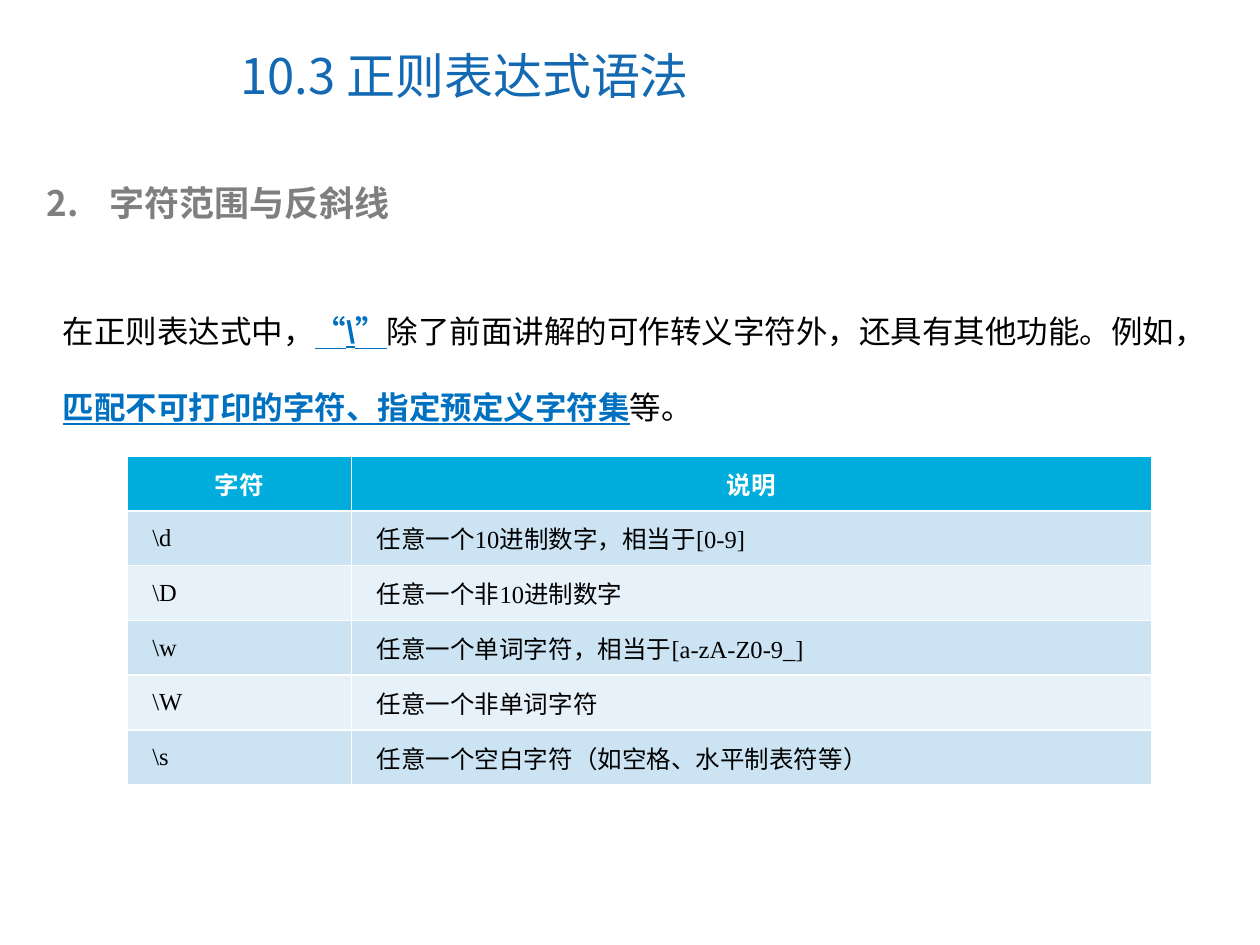
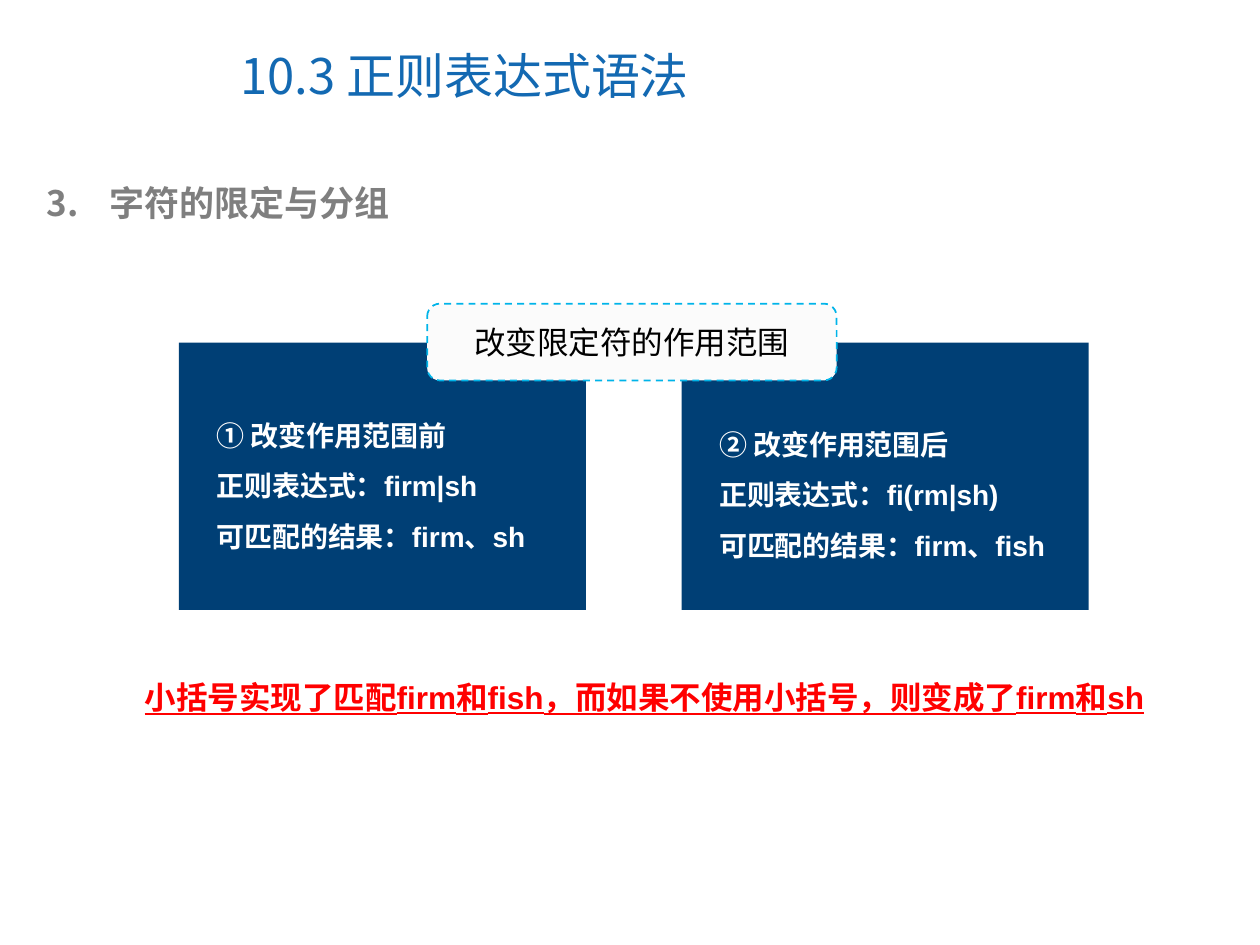
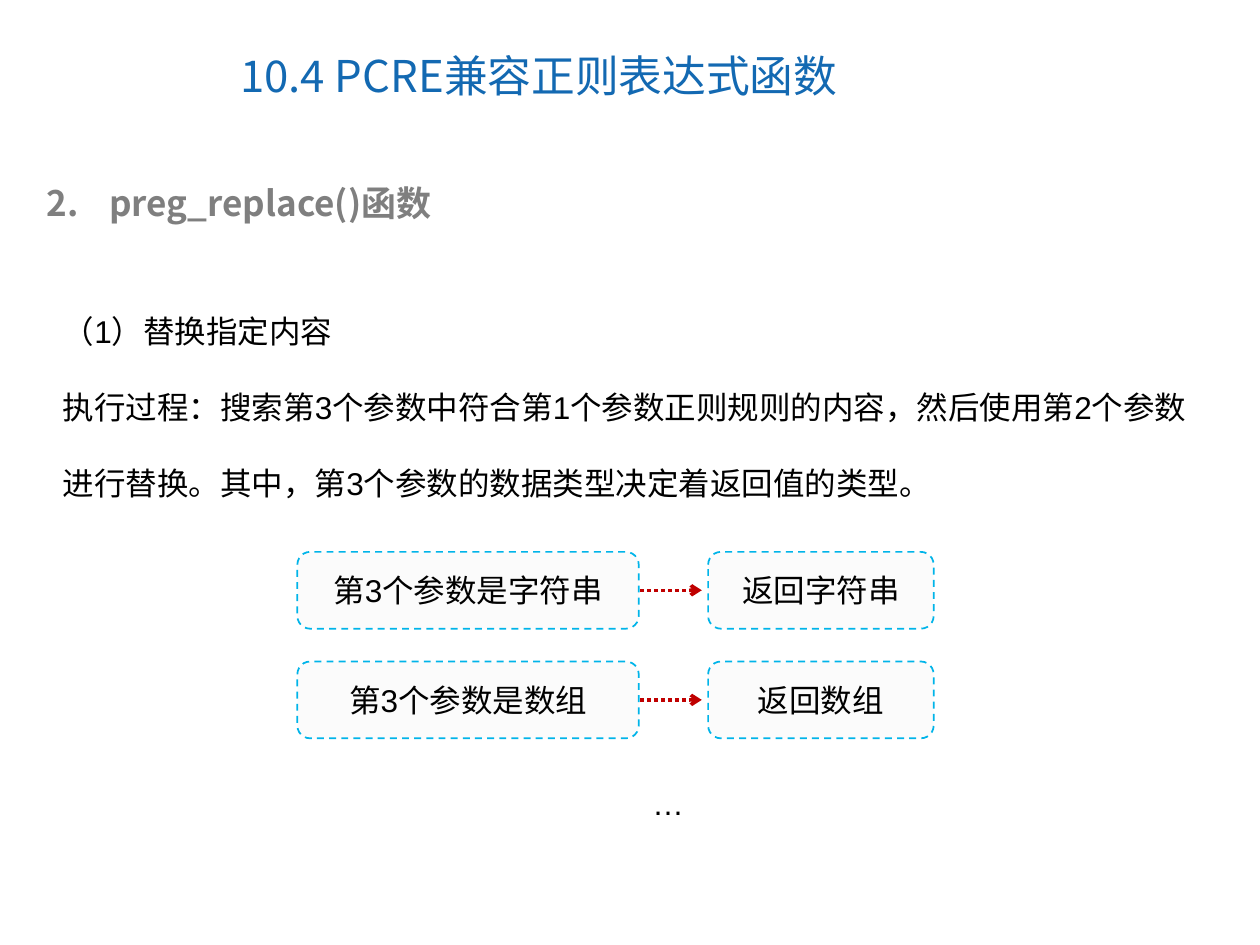
"""Builds three lesson slides on regular expressions."""
from lxml.etree import SubElement
from pptx import Presentation
from pptx.dml.color import RGBColor
from pptx.enum.dml import MSO_LINE
from pptx.enum.lang import MSO_LANGUAGE_ID as Lang
from pptx.enum.shapes import MSO_CONNECTOR, MSO_SHAPE
from pptx.enum.text import MSO_ANCHOR as Anchor, PP_ALIGN as Align
from pptx.oxml.ns import qn
from pptx.util import Inches, Pt

COLORS = {
    "title": "1369B2", "heading": "7F7F7F", "text": "000000", "white": "FFFFFF",
    "key": "0070C0", "warning": "FF0000", "header": "00ADDC", "odd_row": "CBE3F2",
    "even_row": "E7F1F9", "panel": "003F75", "tag": "FBFBFB", "tag_line": "00B4E9",
    "arrow": "C00000",
}
SANS, SERIF, CHINESE = "Arial", "Times New Roman", "Noto Sans CJK SC"
TAG_HEIGHT = 0.61

SYNTAX_TITLE = "10.3 正则表达式语法"
BACKSLASH_TEXT = [[
    ("在正则表达式中，", False), ("“\\”", True),
    ("除了前面讲解的可作转义字符外，还具有其他功能。例如，", False),
    ("匹配不可打印的字符、指定预定义字符集", True), ("等。", False),
]]
CHARACTER_ROWS = [
    ("字符", "说明"),
    ("\\d", "任意一个10进制数字，相当于[0-9]"),
    ("\\D", "任意一个非10进制数字"),
    ("\\w", "任意一个单词字符，相当于[a-zA-Z0-9_]"),
    ("\\W", "任意一个非单词字符"),
    ("\\s", "任意一个空白字符（如空格、水平制表符等）"),
]
SCOPE_TAG = "改变限定符的作用范围"
SCOPE_PANELS = [
    (3.14, ["① 改变作用范围前", "正则表达式：firm|sh", "可匹配的结果：firm、sh"]),
    (3.21, ["② 改变作用范围后", "正则表达式：fi(rm|sh)", "可匹配的结果：firm、fish"]),
]
SCOPE_NOTE = "小括号实现了匹配firm和fish，而如果不使用小括号，则变成了firm和sh"
REPLACE_TEXT = [
    "（1）替换指定内容",
    "执行过程：搜索第3个参数中符合第1个参数正则规则的内容，然后使用第2个参数进行替换。"
    "其中，第3个参数的数据类型决定着返回值的类型。",
]
RETURN_RULES = [("第3个参数是字符串", "返回字符串"), ("第3个参数是数组", "返回数组")]


def rgb(name):
    return RGBColor.from_string(COLORS[name])


def write(frame, paragraphs, size=18, font=SANS, color="text", bold=False,
          underline=False, align=None, spacing=None, number=None, indent=0):
    """Fill a text frame; a paragraph is a string or a list of (text, is_key)."""
    for index, content in enumerate(paragraphs):
        para = frame.paragraphs[0] if index == 0 else frame.add_paragraph()
        if align is not None:
            para.alignment = align
        if spacing:
            para.line_spacing = spacing
        props = para._p.get_or_add_pPr()
        if indent:
            props.set("marL", str(Inches(indent)))
        if number:
            props.set("indent", str(-Inches(indent)))
            SubElement(SubElement(props, qn("a:buClr")), qn("a:srgbClr"), val=COLORS[color])
            SubElement(props, qn("a:buFont"), typeface=font)
            SubElement(props, qn("a:buAutoNum"), type="arabicPeriod", startAt=str(number))
        for text, is_key in [(content, False)] if isinstance(content, str) else content:
            span = para.add_run()
            span.text = text
            span.font.size = Pt(size)
            span.font.name = font
            span.font.bold = bold or is_key
            span.font.underline = underline or is_key
            span.font.color.rgb = rgb("key" if is_key else color)
            span.font.language_id = Lang.SIMPLIFIED_CHINESE
            SubElement(span.font._element, qn("a:ea"), typeface=CHINESE)


def add_text(page, left, top, width, height, paragraphs, wrap=True, anchor=Anchor.TOP, **style):
    box = page.shapes.add_textbox(*map(Inches, (left, top, width, height)))
    box.text_frame.word_wrap = wrap
    box.text_frame.vertical_anchor = anchor
    write(box.text_frame, paragraphs, **style)


def add_block(page, kind, left, top, width, height, fill):
    block = page.shapes.add_shape(kind, *map(Inches, (left, top, width, height)))
    block.shadow.inherit = False
    block.fill.solid()
    block.fill.fore_color.rgb = rgb(fill)
    block.line.fill.background()
    return block


def add_tag(page, left, top, width, text):
    tag = add_block(page, MSO_SHAPE.ROUNDED_RECTANGLE, left, top, width, TAG_HEIGHT, "tag")
    tag.line.color.rgb = rgb("tag_line")
    tag.line.width = Pt(1)
    tag.line.dash_style = MSO_LINE.DASH
    tag.text_frame.word_wrap = True
    tag.text_frame.vertical_anchor = Anchor.MIDDLE
    write(tag.text_frame, [text], align=Align.CENTER)


def add_arrow(page, start, end, middle):
    arrow = page.shapes.add_connector(
        MSO_CONNECTOR.STRAIGHT, *map(Inches, (start, middle, end, middle)))
    arrow.line.color.rgb = rgb("arrow")
    arrow.line.width = Pt(2)
    arrow.line.dash_style = MSO_LINE.ROUND_DOT
    props = arrow._element.spPr
    SubElement(props.find(qn("a:ln")), qn("a:tailEnd"), type="arrow")
    SubElement(props, qn("a:effectLst"))


def add_page(deck, title, number, heading, title_size=28):
    page = deck.slides.add_slide(deck.slide_layouts[6])
    add_text(page, 1.81, 0.17, 5.16, 0.85, [title], anchor=Anchor.MIDDLE,
             size=title_size, font=CHINESE, color="title")
    add_text(page, 0.27, 1.39, 9.22, 0.44, [heading], size=20, font=CHINESE,
             color="heading", bold=True, number=number, indent=0.5)
    return page


def add_character_table(page):
    table = page.shapes.add_table(
        len(CHARACTER_ROWS), 2, *map(Inches, (1.01, 3.62, 8.13, 2.61))).table
    for column, width in zip(table.columns, (1.78, 6.35)):
        column.width = Inches(width)
    header = dict(color="white", bold=True, align=Align.CENTER)
    body = dict(font=SERIF, align=Align.JUSTIFY, indent=0.12)
    for row, texts in enumerate(CHARACTER_ROWS):
        fill = "header" if row == 0 else "odd_row" if row % 2 else "even_row"
        for column, text in enumerate(texts):
            cell = table.cell(row, column)
            cell.fill.solid()
            cell.fill.fore_color.rgb = rgb(fill)
            cell.vertical_anchor = Anchor.MIDDLE
            cell.margin_left = cell.margin_right = Inches(0.08)
            write(cell.text_frame, [text], size=14, **(body if row else header))


def build_backslash(deck):
    page = add_page(deck, SYNTAX_TITLE, 2, "字符范围与反斜线")
    add_text(page, 0.4, 2.13, 9.19, 1.3, BACKSLASH_TEXT, spacing=2.0)
    add_character_table(page)


def build_scope(deck):
    page = add_page(deck, SYNTAX_TITLE, 3, "字符的限定与分组")
    for index, (text_top, lines) in enumerate(SCOPE_PANELS):
        left = 1.42 + 3.99 * index
        add_block(page, MSO_SHAPE.RECTANGLE, left, 2.72, 3.23, 2.12, "panel")
        add_text(page, left + 0.2, text_top, 3.03, 1.3, lines, size=16,
                 color="white", bold=True, spacing=1.5)
    add_tag(page, 3.39, 2.41, 3.25, SCOPE_TAG)
    add_text(page, 1.05, 5.33, 8.38, 0.7, [SCOPE_NOTE], color="warning",
             bold=True, underline=True)


def build_replace(deck):
    page = add_page(deck, "10.4 PCRE兼容正则表达式函数", 2, "preg_replace()函数", title_size=25)
    add_text(page, 0.4, 2.13, 9.19, 1.9, REPLACE_TEXT, spacing=2.0)
    for index, (argument, result) in enumerate(RETURN_RULES):
        top = 4.38 + 0.87 * index
        add_tag(page, 2.36, top, 2.71, argument)
        add_arrow(page, 5.08, 5.57, top + TAG_HEIGHT / 2)
        add_tag(page, 5.62, top, 1.79, result)
    add_text(page, 5.08, 6.17, 0.45, 0.4, ["…"], wrap=False)


def main():
    deck = Presentation()
    deck.slide_width, deck.slide_height = Inches(10), Inches(7.5)
    for build in (build_backslash, build_scope, build_replace):
        build(deck)
    deck.save("out.pptx")


if __name__ == "__main__":
    main()
